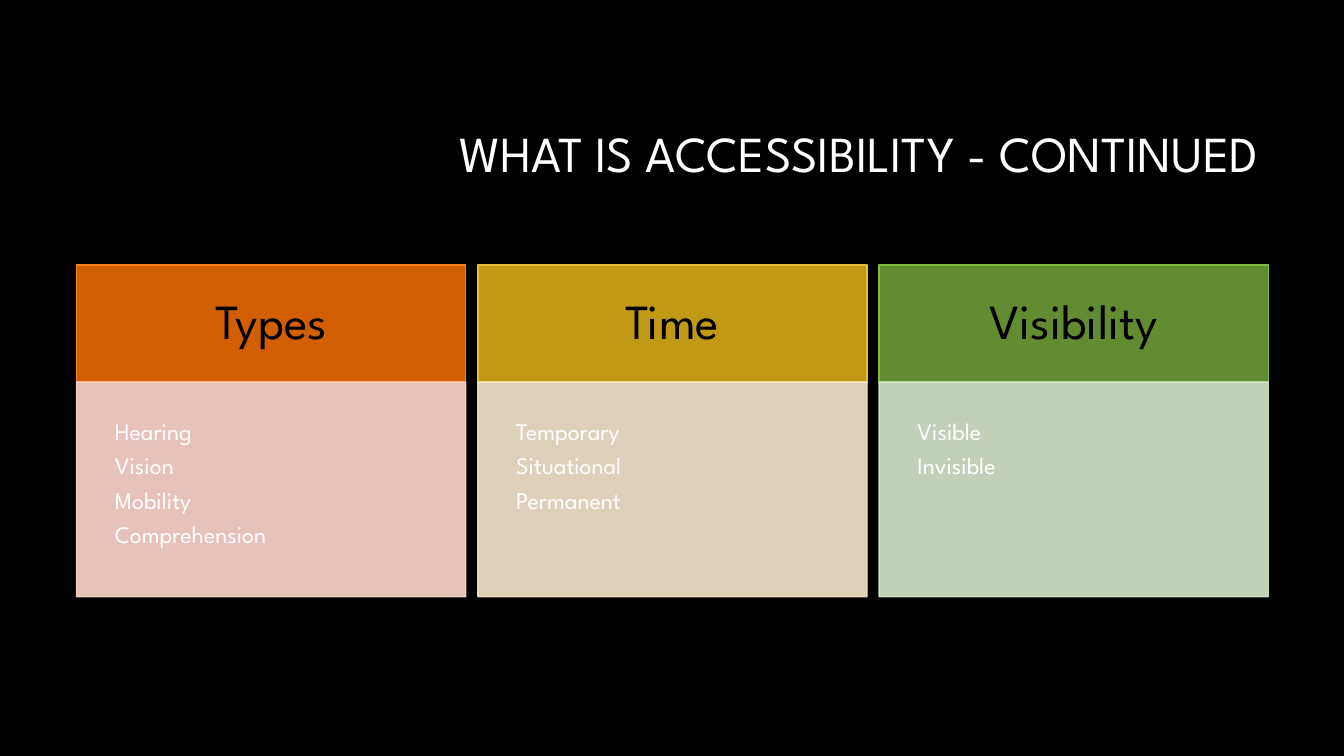
import pptx
import pptx.dml.color
import pptx.enum.shapes
import pptx.enum.text
import pptx.oxml
import pptx.oxml.ns
import pptx.util
from pptx.util import Inches

COLORS = {
    "black": "000000", "white": "FFFFFF",
    "orange": "D15E01", "orange_line": "FE801A", "orange_pale": "FFD8CD",
    "gold": "C19915", "gold_line": "E9BF35", "gold_pale": "F7E8CE",
    "green": "618C32", "green_line": "81BB42", "green_pale": "D8E7CF",
}
COLUMNS = [
    ("Types", "orange", ["Hearing", "Vision", "Mobility", "Comprehension"]),
    ("Time", "gold", ["Temporary", "Situational", "Permanent"]),
    ("Visibility", "green", ["Visible", "Invisible"]),
]
LEFT, TOP, WIDTH, PITCH = 0.76, 2.63, 3.86, 3.98
HEADER_HEIGHT, BODY_HEIGHT = 1.16, 2.13
ALIGN = pptx.enum.text.PP_ALIGN
ANCHOR = pptx.enum.text.MSO_ANCHOR


def rgb(name):
    return pptx.dml.color.RGBColor.from_string(COLORS[name])


class SlideBuilder:
    font = "League Spartan"

    def __init__(self, page):
        self.page = page

    def background(self, color):
        fill = self.page.background.fill
        fill.solid()
        fill.fore_color.rgb = rgb(color)

    def add_lines(self, box, lines, size, color, align, anchor, inset, space_after=0):
        """Fill a shape or text box with one paragraph per line."""
        frame = box.text_frame
        frame.word_wrap = True
        frame.vertical_anchor = anchor
        frame.margin_left = frame.margin_right = Inches(inset)
        frame.margin_top = frame.margin_bottom = Inches(inset)
        for index, line in enumerate(lines):
            para = frame.add_paragraph() if index else frame.paragraphs[0]
            para.alignment = align
            para.line_spacing = 0.9
            para.space_after = pptx.util.Pt(space_after)
            span = para.add_run()
            span.text = line
            span.font.name = self.font
            span.font.size = pptx.util.Pt(size)
            span.font.color.rgb = rgb(color)

    def title(self, text):
        box = self.page.shapes.add_textbox(
            Inches(0), Inches(0.84), Inches(12.58), Inches(1.41))
        self.add_lines(box, [text], 36, "white", ALIGN.RIGHT, ANCHOR.MIDDLE, 0.1)

    def panel(self, left, top, height, fill, line, opacity=100):
        box = self.page.shapes.add_shape(
            pptx.enum.shapes.MSO_SHAPE.RECTANGLE,
            Inches(left), Inches(top), Inches(WIDTH), Inches(height))
        box.shadow.inherit = False
        box.fill.solid()
        box.fill.fore_color.rgb = rgb(fill)
        box.line.color.rgb = rgb(line)
        box.line.width = pptx.util.Pt(1)
        if opacity < 100:
            for color in box.element.spPr.iter(pptx.oxml.ns.qn("a:srgbClr")):
                alpha = pptx.oxml.parse_xml(
                    f'<a:alpha {pptx.oxml.ns.nsdecls("a")} val="{opacity * 1000}"/>')
                color.append(alpha)
        return box

    def column(self, left, heading, color, items):
        header = self.panel(left, TOP, HEADER_HEIGHT, color, f"{color}_line")
        self.add_lines(header, [heading], 35, "black", ALIGN.CENTER, ANCHOR.MIDDLE, 0.31)
        pale = f"{color}_pale"
        body = self.panel(left, TOP + HEADER_HEIGHT, BODY_HEIGHT, pale, pale, 90)
        self.add_lines(body, items, 17, "white", ALIGN.LEFT, ANCHOR.TOP, 0.38, 6)


def main():
    deck = pptx.Presentation()
    deck.slide_width, deck.slide_height = Inches(13.33), Inches(7.5)
    builder = SlideBuilder(deck.slides.add_slide(deck.slide_layouts[6]))
    builder.background("black")
    builder.title("WHAT IS ACCESSIBILITY - CONTINUED")
    for index, (heading, color, items) in enumerate(COLUMNS):
        builder.column(LEFT + index * PITCH, heading, color, items)
    deck.save("out.pptx")


if __name__ == "__main__":
    main()
